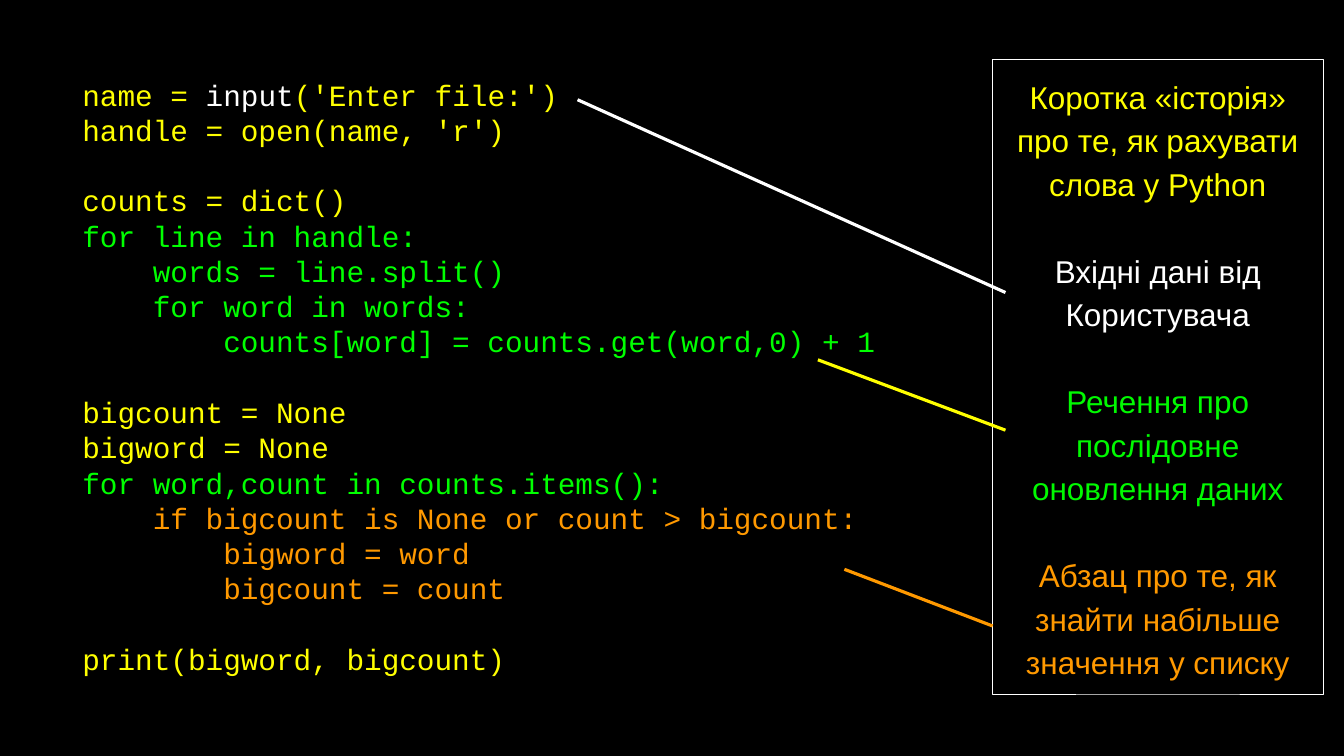
"""Build a slide that explains a word-counting program beside its code."""
from lxml import etree
from pptx import Presentation
from pptx import util as u
from pptx.dml.color import RGBColor
from pptx.enum import shapes, text
from pptx.oxml import ns

BLACK = RGBColor(0, 0, 0)
WHITE = RGBColor(255, 255, 255)
YELLOW = RGBColor(255, 255, 0)
GREEN = RGBColor(0, 255, 0)
SOFT_GREEN = RGBColor(0, 250, 0)
ORANGE = RGBColor(255, 153, 0)

CODE_BLOCKS = [
    [
        [("name = ", YELLOW), ("input", WHITE), ("('Enter file:')", YELLOW)],
        [("handle = open(name, 'r')", YELLOW)],
    ],
    [
        [("counts = dict()", YELLOW)],
        [("for line in handle:", GREEN)],
        [("    words = line.split()", GREEN)],
        [("    for word in words:", GREEN)],
        [("        counts[word] = counts.get(word,0) + 1", GREEN)],
    ],
    [
        [("bigcount = None", YELLOW)],
        [("bigword = None", YELLOW)],
        [("for word,count in counts.items():", GREEN)],
        [("    if bigcount is None or count > bigcount:", ORANGE)],
        [("        bigword = word", ORANGE)],
        [("        bigcount = count", ORANGE)],
    ],
    [
        [("print(bigword, bigcount)", YELLOW)],
    ],
]

STORY = [
    (YELLOW, ["Коротка «історія»", "про те, як рахувати", "слова у Python"]),
    (WHITE, ["Вхідні дані від", "Користувача"]),
    (SOFT_GREEN, ["Речення про", "послідовне", "оновлення даних"]),
    (ORANGE, ["Абзац про те, як", "знайти набільше", "значення у списку"]),
]
STORY_BLOCKS = [[[(line, color)] for line in lines] for color, lines in STORY]

SLIDE_SIZE = (1280, 720)
CODE_BOX = (78.5, 61.2, 789.8, 594.7)
STORY_BOX = (945.4, 56.2, 314.6, 604.8)
POINTERS = [
    (WHITE, (550.1, 95, 957.6, 278.6)),
    (YELLOW, (779, 342.7, 957.6, 409.7)),
    (ORANGE, (804.2, 542.2, 945.4, 596.2)),
]


def points(values):
    return [u.Pt(value) for value in values]


def write_blocks(shape, blocks, font, size, pitch, alignment):
    frame = shape.text_frame
    frame.word_wrap = True
    frame.vertical_anchor = text.MSO_ANCHOR.MIDDLE
    frame.margin_left = frame.margin_right = 0
    frame.margin_top = frame.margin_bottom = 0
    paragraph = None
    for block in blocks:
        for index, line in enumerate(block):
            starts_block = paragraph is not None and index == 0
            paragraph = frame.add_paragraph() if paragraph is not None else frame.paragraphs[0]
            paragraph.alignment = alignment
            paragraph.line_spacing = u.Pt(pitch)
            paragraph.space_before = u.Pt(pitch if starts_block else 0)
            for words, color in line:
                run = paragraph.add_run()
                run.text = words
                run.font.name = font
                run.font.size = u.Pt(size)
                run.font.color.rgb = color


def add_pointer(slide, color, ends):
    pointer = slide.shapes.add_connector(shapes.MSO_CONNECTOR.STRAIGHT, *points(ends))
    pointer.line.color.rgb = color
    pointer.line.width = u.Pt(3)
    etree.SubElement(pointer._element.spPr, ns.qn("a:effectLst"))


def main():
    presentation = Presentation()
    presentation.slide_width, presentation.slide_height = points(SLIDE_SIZE)
    slide = presentation.slides.add_slide(presentation.slide_layouts[6])
    slide.background.fill.solid()
    slide.background.fill.fore_color.rgb = BLACK

    code = slide.shapes.add_textbox(*points(CODE_BOX))
    write_blocks(code, CODE_BLOCKS, "Courier New", 28, 33.6, text.PP_ALIGN.LEFT)

    story = slide.shapes.add_shape(shapes.MSO_SHAPE.RECTANGLE, *points(STORY_BOX))
    story.shadow.inherit = False
    story.fill.background()
    story.line.color.rgb = WHITE
    story.line.width = u.Pt(0.75)
    write_blocks(story, STORY_BLOCKS, "Arial", 30, 41.4, text.PP_ALIGN.CENTER)

    for color, ends in POINTERS:
        add_pointer(slide, color, ends)
    presentation.save("out.pptx")


if __name__ == "__main__":
    main()
